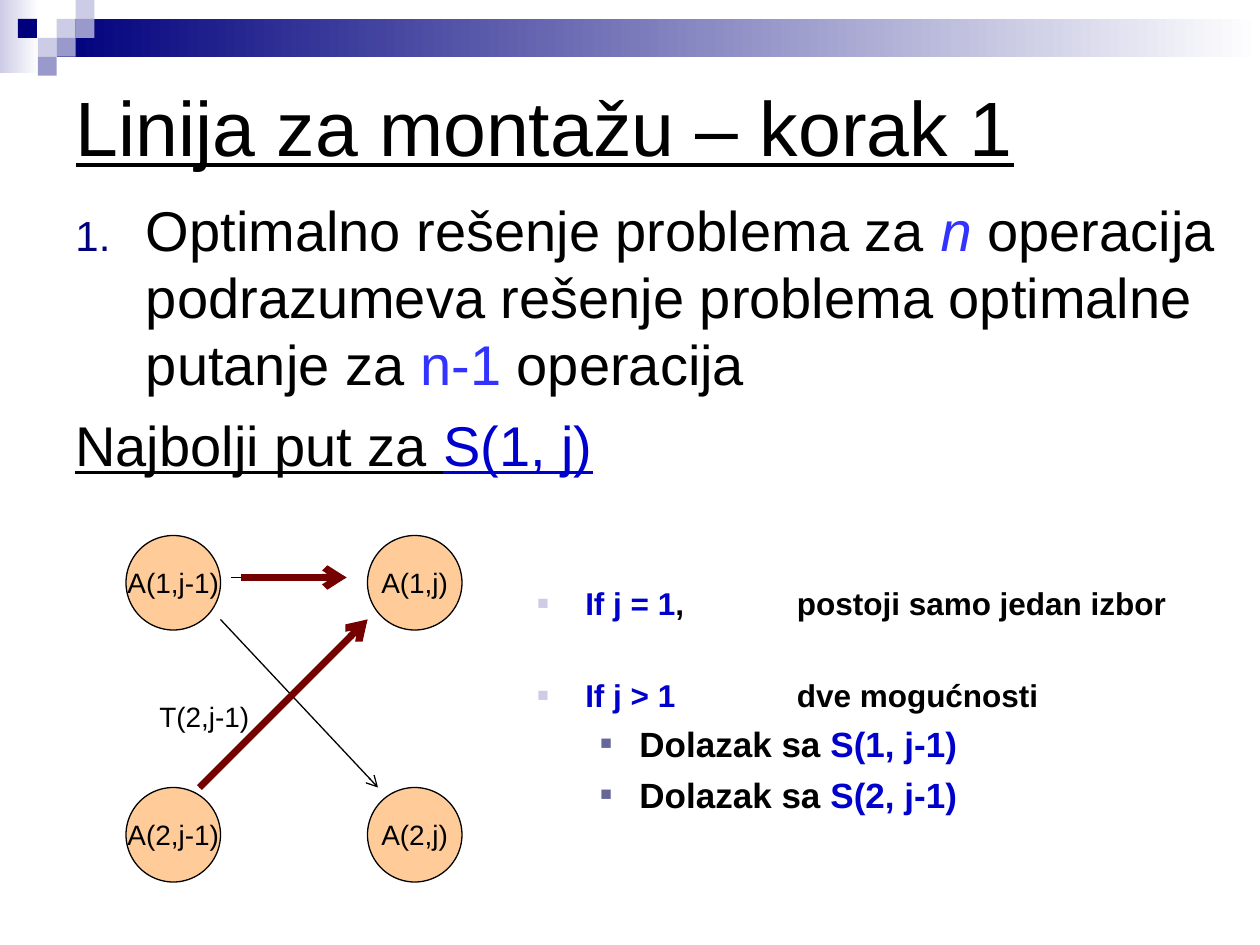
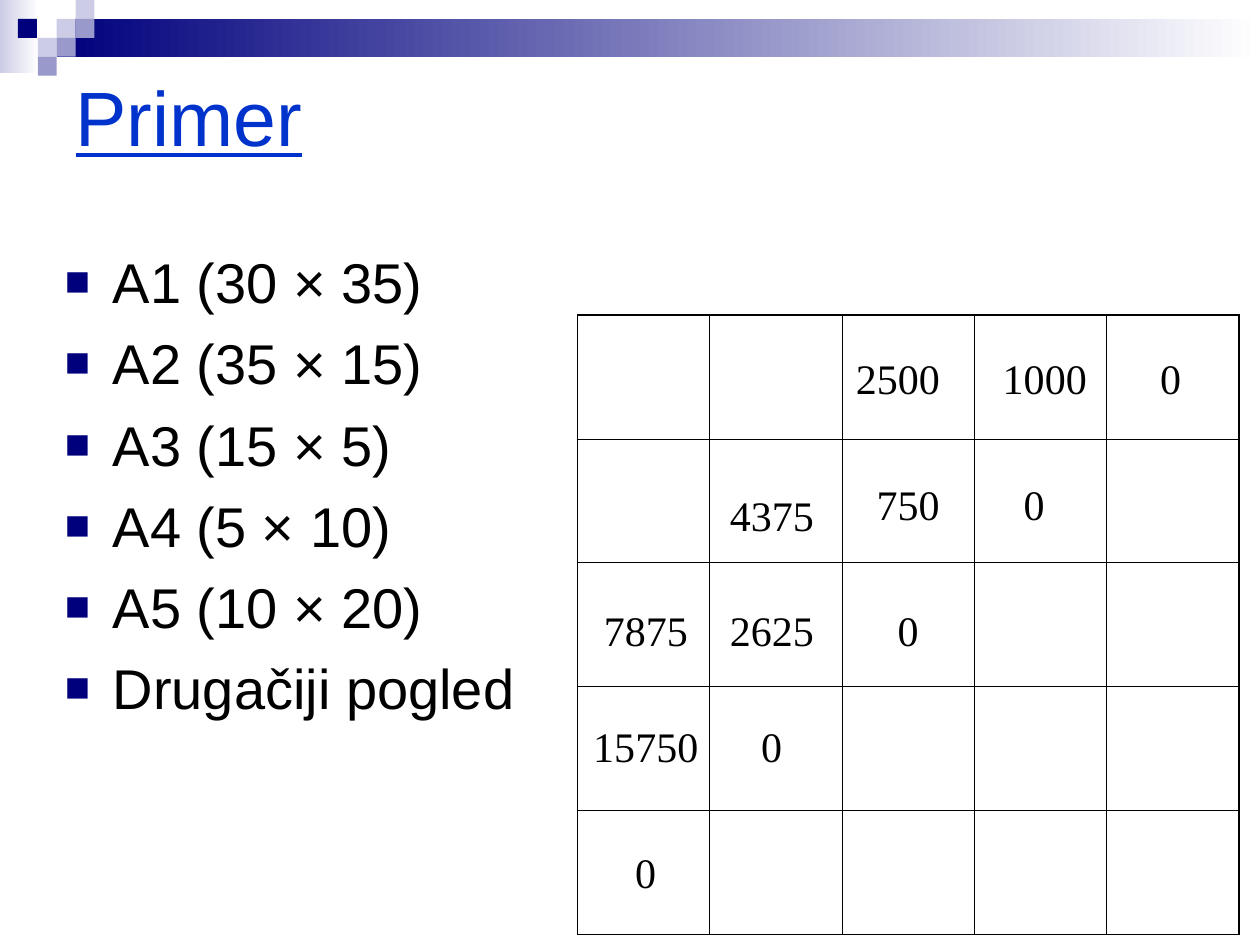
"""Builds two slides on dynamic programming: an assembly line step and a matrix chain example."""
from dataclasses import dataclass

from lxml.etree import SubElement
from pptx import Presentation
from pptx.dml.color import RGBColor
from pptx.enum.shapes import MSO_CONNECTOR as Connector, MSO_SHAPE as Shape
from pptx.enum.text import MSO_ANCHOR as Anchor, MSO_AUTO_SIZE as AutoSize, PP_ALIGN as Align
from pptx.oxml.ns import qn
from pptx.util import Inches, Pt


@dataclass(frozen=True)
class Theme:
    """Colours, fonts and type sizes of the deck."""
    ink: str = "000000"
    paper: str = "FFFFFF"
    navy: str = "00007D"
    violet: str = "9999CC"
    pale: str = "CCCCE6"
    slate: str = "666699"
    title_blue: str = "0033CC"
    term_blue: str = "0000CC"
    bright_blue: str = "3333FF"
    node: str = "FFCC99"
    route: str = "740000"
    sans: str = "Arial"
    serif: str = "Times New Roman"
    title_size: int = 44
    body_size: int = 32
    value_size: int = 24
    option_size: int = 20
    case_size: int = 18
    label_size: int = 16
    thin: float = 0.75
    thick: float = 4
    frame: float = 1.08
    rule: float = 0.45


@dataclass(frozen=True)
class Bullet:
    """Marker, colour and size of a list level, with its hanging indent in inches."""
    mark: str
    color: str
    percent: int
    margin: float
    hang: float


THEME = Theme()
NUMBERED = Bullet("1.", THEME.navy, 75, 0.56, 0.56)
PLAIN = Bullet("", THEME.navy, 75, 0.56, 0.56)
SQUARE = Bullet("■", THEME.navy, 75, 0.38, 0.38)
CASE = Bullet("■", THEME.pale, 60, 0.38, 0.38)
OPTION = Bullet("■", THEME.slate, 55, 0.81, 0.31)


class Sketch:
    """Draws on the current slide, on a grid of 120 columns by 90 rows."""

    def __init__(self, deck, theme):
        """Keep the deck and theme and set the grid unit."""
        self.deck, self.theme = deck, theme
        self.unit = deck.slide_width // 120
        self.layout = deck.slide_layouts[5]
        self.slide = None

    def grid(self, *cells):
        """Turn grid cells into lengths."""
        return [round(cell * self.unit) for cell in cells]

    def start(self, title, rows, color):
        """Add a slide with its title."""
        self.slide = self.deck.slides.add_slide(self.layout)
        holder = self.slide.shapes.title
        holder.left, holder.top, holder.width, holder.height = self.grid(6, 6, 108, rows)
        frame = holder.text_frame
        frame.text = title
        frame.vertical_anchor, frame.auto_size = Anchor.MIDDLE, AutoSize.NONE
        frame.paragraphs[0].alignment = Align.LEFT
        self.style(frame.paragraphs[0].runs[0], self.theme.title_size, color, underline=True)

    def style(self, span, size, color=None, face=None, **traits):
        """Format one run."""
        span.font.name, span.font.size = face or self.theme.sans, Pt(size)
        span.font.color.rgb = RGBColor.from_string(color or self.theme.ink)
        for trait, state in traits.items():
            setattr(span.font, trait, state)

    def shape(self, kind, area, fill, fade=None):
        """Add a flat preset shape, with a fade to a second colour if given."""
        shape = self.slide.shapes.add_shape(kind, *self.grid(*area))
        shape.shadow.inherit = False
        shape.line.fill.background()
        if fade:
            shape.fill.gradient()
            shape.fill.gradient_angle = 0
            for stop, color in zip(shape.fill.gradient_stops, (fill, fade)):
                stop.color.rgb = RGBColor.from_string(color)
        else:
            shape.fill.solid()
            shape.fill.fore_color.rgb = RGBColor.from_string(fill)
        return shape

    def banner(self):
        """Put the top band and its tiles on the shared layout."""
        theme, side = self.theme, 1.8
        parts = [self.shape(Shape.RECTANGLE, (0, 0, 3.7, 7), theme.pale, theme.paper),
                 self.shape(Shape.RECTANGLE, (3 * side, side, 120 - 3 * side, 2 * side),
                            theme.navy, theme.paper)]
        tiles = ((3, 1, theme.pale), (4, 0, theme.pale), (4, 1, theme.violet),
                 (2, 2, theme.pale), (0.95, 1, theme.navy), (3, 2, theme.violet),
                 (2, 3, theme.violet))
        for column, row, color in tiles:
            parts.append(self.shape(Shape.RECTANGLE,
                                    (column * side, row * side, side, side), color))
        for part in parts:
            self.layout.shapes.element.append(part.element)

    def node(self, label, column, row):
        """Add a labelled circle."""
        circle = self.shape(Shape.OVAL, (column, row, 9, 9), self.theme.node)
        circle.line.color.rgb = RGBColor.from_string(self.theme.ink)
        circle.line.width = Pt(self.theme.thin)
        frame = circle.text_frame
        frame.text, frame.word_wrap, frame.vertical_anchor = label, False, Anchor.MIDDLE
        frame.paragraphs[0].alignment = Align.CENTER
        self.style(frame.paragraphs[0].runs[0], self.theme.label_size)

    def arrow(self, ends, color, weight):
        """Add a straight arrow between two grid points."""
        line = self.slide.shapes.add_connector(Connector.STRAIGHT, *self.grid(*ends))
        line.line.color.rgb = RGBColor.from_string(color)
        line.line.width = Pt(weight)
        SubElement(line.line._get_or_add_ln(), qn("a:tailEnd"), type="arrow")
        SubElement(line.element.spPr, qn("a:effectLst"))

    def box(self, area):
        """Add a wrapping text box and return its frame."""
        frame = self.slide.shapes.add_textbox(*self.grid(*area)).text_frame
        frame.word_wrap = True
        return frame

    def label(self, text, area, size, face=None, align=Align.LEFT):
        """Add a one-line text box."""
        frame = self.box(area)
        frame.text = text
        frame.paragraphs[0].alignment = align
        self.style(frame.paragraphs[0].runs[0], size, face=face)

    def bullet(self, para, bullet, tab):
        """Give a paragraph its hanging indent, marker and tab stop."""
        props = para._p.get_or_add_pPr()
        props.set("marL", str(Inches(bullet.margin)))
        props.set("indent", str(-Inches(bullet.hang)))
        if bullet.mark:
            SubElement(SubElement(props, qn("a:buClr")), qn("a:srgbClr"), val=bullet.color)
            SubElement(props, qn("a:buSzPct"), val=str(bullet.percent * 1000))
            SubElement(props, qn("a:buFont"), typeface=self.theme.sans)
            if bullet.mark == "1.":
                SubElement(props, qn("a:buAutoNum"), type="arabicPeriod")
            else:
                SubElement(props, qn("a:buChar"), char=bullet.mark)
        else:
            SubElement(props, qn("a:buNone"))
        if tab:
            SubElement(SubElement(props, qn("a:tabLst")), qn("a:tab"),
                       pos=str(Inches(tab)), algn="l")

    def listing(self, area, items, tab=None):
        """Add a list whose items are bullet, size, space before and spans."""
        frame = self.box(area)
        for index, (bullet, size, space, spans) in enumerate(items):
            para = frame.add_paragraph() if index else frame.paragraphs[0]
            self.bullet(para, bullet, tab)
            if index:
                para.space_before = Pt(space)
            for text, color, traits in spans:
                span = para.add_run()
                span.text = text
                self.style(span, size, color, **traits)

    def table(self, area, count):
        """Add an empty square table with a heavier frame."""
        table = self.slide.shapes.add_table(count, count, *self.grid(*area)).table
        table.first_row = table.horz_banding = False
        last = count - 1
        for row in range(count):
            for column in range(count):
                cell = table.cell(row, column)
                edges = {"L": column == 0, "R": column == last, "T": row == 0, "B": row == last}
                for edge, outer in edges.items():
                    weight = self.theme.frame if outer else self.theme.rule
                    line = SubElement(cell._tc.get_or_add_tcPr(), qn(f"a:ln{edge}"),
                                      w=str(Pt(weight)))
                    fill = SubElement(line, qn("a:solidFill"))
                    SubElement(fill, qn("a:srgbClr"), val=self.theme.ink)
                cell.fill.background()


def assembly_line(sketch):
    """Draw the first step of the assembly line problem."""
    theme = sketch.theme
    sketch.start("Linija za montažu – korak 1", 12, theme.ink)
    sketch.banner()
    under, bold = {"underline": True}, {"bold": True}
    sketch.listing((6, 18, 111, 51), [
        (NUMBERED, theme.body_size, 0, [
            ("Optimalno rešenje problema za ", theme.ink, {}),
            ("n", theme.bright_blue, {"italic": True}),
            (" operacija podrazumeva rešenje problema optimalne putanje za ", theme.ink, {}),
            ("n-1", theme.bright_blue, {}),
            (" operacija", theme.ink, {})]),
        (PLAIN, theme.body_size, 8, [("Najbolji put za ", theme.ink, under),
                                     ("S(1, j)", theme.term_blue, under)])])

    for row, line in ((51, 1), (75, 2)):
        for column, step in ((35, "j"), (12, "j-1")):
            sketch.node(f"A({line},{step})", column, row)
    rising = (19, 75, 35, 59)
    for ends in ((22, 55, 33, 55), rising, (21, 59, 36, 75)):
        sketch.arrow(ends, theme.ink, theme.thin)
    for ends in ((23, 55, 33, 55), rising):
        sketch.arrow(ends, theme.route, theme.thick)
    sketch.label("T(2,j-1)", (14, 66, 12, 4.4), theme.label_size)

    cases = [(CASE, theme.case_size, 0, [("If j = 1", theme.term_blue, bold),
                                         (",\tpostoji samo jedan izbor", theme.ink, bold)]),
             (CASE, theme.case_size, 31, [("If j > 1", theme.term_blue, bold),
                                          ("\tdve mogućnosti", theme.ink, bold)])]
    options = [(OPTION, theme.option_size, 5, [("Dolazak sa ", theme.ink, bold),
                                               (f"S({line}, j-1)", theme.term_blue, bold)])
               for line in (1, 2)]
    sketch.listing((50, 55, 70, 35), cases + options, tab=2.06)


def matrix_chain(sketch):
    """Draw the matrix chain example with its cost table."""
    theme = sketch.theme
    sketch.start("Primer", 10, theme.title_blue)
    sizes = (30, 35, 15, 5, 10, 20)
    lines = [f"A{index} ({rows} × {columns})"
             for index, (rows, columns) in enumerate(zip(sizes, sizes[1:]), 1)]
    sketch.listing((5, 23, 108, 51),
                   [(SQUARE, theme.body_size, 8, [(line, theme.ink, {})])
                    for line in lines + ["Drugačiji pogled"]])
    sketch.table((55, 30, 63, 59), 5)
    zeros = ((56, 80), (68, 68), (81, 57), (93, 45), (106, 33))
    costs = ((15750, 55, 68), (2625, 67, 57), (750, 80, 45), (1000, 93, 33),
             (7875, 55, 57), (4375, 67, 46), (2500, 79, 33))
    values = [(0, *spot, 11) for spot in zeros] + [(*cost, 13) for cost in costs]
    for value, column, row, width in values:
        sketch.label(str(value), (column, row, width, 6), theme.value_size,
                     theme.serif, Align.CENTER)


def main():
    """Build and save the deck."""
    deck = Presentation()
    deck.slide_width, deck.slide_height = Inches(10), Inches(7.5)
    sketch = Sketch(deck, THEME)
    assembly_line(sketch)
    matrix_chain(sketch)
    deck.save("out.pptx")


if __name__ == "__main__":
    main()
